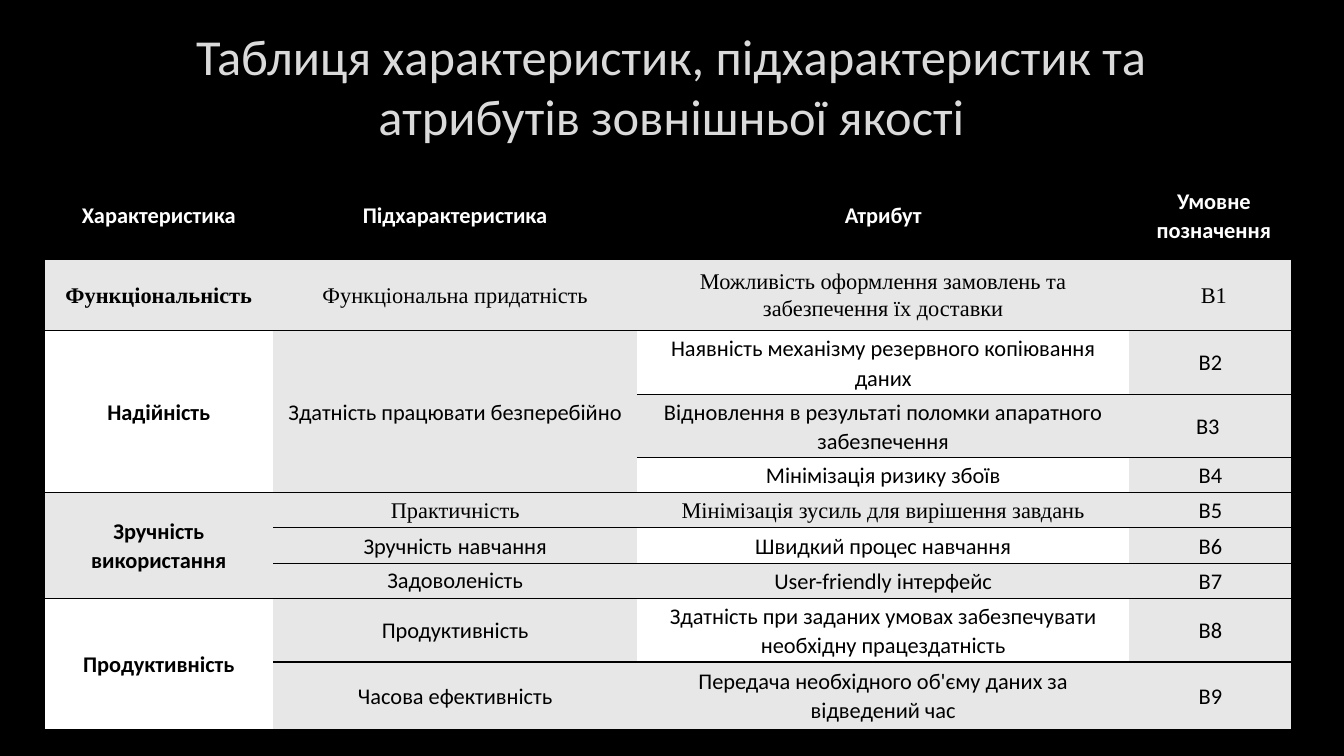
from lxml import etree
from pptx import Presentation
from pptx.dml.color import RGBColor
from pptx.enum import text
from pptx.oxml import ns
from pptx.util import Pt

PX = 9144  # 100 px to the inch
COLORS = {"black": "000000", "white": "FFFFFF", "grey": "E7E7E7", "title": "DADADA"}
SANS, SERIF = "Calibri", "Times New Roman"

COLUMN_WIDTHS = [227, 361, 488, 161]
ROW_HEIGHTS = [87, 71, 54, 58, 34, 28, 29, 32, 38, 67]
# None marks a cell that joins the one above; a tuple holds separate runs
ROWS = [
    ["Характеристика", "Підхарактеристика", "Атрибут", "Умовне позначення"],
    ["Функціональність", "Функціональна придатність",
     "Можливість оформлення замовлень та забезпечення їх доставки", "B1"],
    ["Надійність", "Здатність працювати безперебійно",
     "Наявність механізму резервного копіювання даних", "B2"],
    [None, None, "Відновлення в результаті поломки апаратного забезпечення", "B3 "],
    [None, None, "Мінімізація ризику збоїв", "B4"],
    ["Зручність використання", "Практичність",
     "Мінімізація зусиль для вирішення завдань", "B5"],
    [None, ("Зручність", " ", "навчання"), "Швидкий процес навчання", "B6"],
    [None, "Задоволеність", "User-friendly інтерфейс", "B7"],
    ["Продуктивність", "Продуктивність",
     "Здатність при заданих умовах забезпечувати необхідну працездатність", "B8"],
    [None, "Часова ефективність",
     "Передача необхідного об'єму даних за відведений час", "B9"],
]
SERIF_CELLS = {(1, 0), (1, 1), (1, 2), (1, 3), (5, 1), (5, 2)}
SINGLE_SPACED = {(6, 1), (7, 1)}
INDENTED = {(0, 3), (1, 3)}


def style_span(span, size, font, color, bold=False):
    span.font.size = Pt(size)
    span.font.name = font
    span.font.bold = bold
    span.font.color.rgb = RGBColor.from_string(COLORS[color])


def add_title(page, left, top, width, height):
    box = page.shapes.add_textbox(left * PX, top * PX, width * PX, height * PX)
    frame = box.text_frame
    frame.word_wrap = True
    frame.vertical_anchor = text.MSO_ANCHOR.MIDDLE
    frame.text = "Таблиця характеристик, підхарактеристик та атрибутів зовнішньої якості"
    para = frame.paragraphs[0]
    para.alignment = text.PP_ALIGN.CENTER
    style_span(para.runs[0], 36, SANS, "title")


def set_borders(cell, column):
    """Black rules above and below, and on the outer sides only."""
    visible = {"lnL": column == 0, "lnR": column == len(COLUMN_WIDTHS) - 1,
               "lnT": True, "lnB": True}
    properties = cell._tc.get_or_add_tcPr()
    for side, shown in visible.items():
        line = etree.SubElement(properties, ns.qn("a:" + side), w=str(Pt(1)))
        fill = etree.SubElement(line, ns.qn("a:solidFill" if shown else "a:noFill"))
        if shown:
            etree.SubElement(fill, ns.qn("a:srgbClr"), val=COLORS["black"])


def fill_color(row, column):
    if row == 0:
        return "black"
    return "white" if row % 2 == 0 and column in (0, 2) else "grey"


def write_cell(cell, row, column, content):
    cell.vertical_anchor = text.MSO_ANCHOR.MIDDLE
    cell.margin_left = (12 if (row, column) in INDENTED else 5) * PX
    cell.margin_right = 5 * PX
    cell.margin_top = cell.margin_bottom = 3 * PX
    para = cell.text_frame.paragraphs[0]
    para.alignment = text.PP_ALIGN.CENTER
    if (row, column) not in SINGLE_SPACED:
        para.line_spacing = 1.07
    for part in content if isinstance(content, tuple) else (content,):
        span = para.add_run()
        span.text = part
        style_span(span, 18 if part == " " else 16,
                   SERIF if (row, column) in SERIF_CELLS else SANS,
                   "white" if row == 0 else "black", row == 0 or column == 0)


def add_quality_table(page, left, top, width, height):
    table = page.shapes.add_table(len(ROWS), len(COLUMN_WIDTHS), left * PX, top * PX,
                                  width * PX, height * PX).table
    table.horz_banding = False
    for column, size in enumerate(COLUMN_WIDTHS):
        table.columns[column].width = size * PX
    for row, size in enumerate(ROW_HEIGHTS):
        table.rows[row].height = size * PX

    for column in range(len(COLUMN_WIDTHS)):
        start = 0
        for row, values in enumerate(ROWS):
            cell = table.cell(row, column)
            if values[column] is not None:
                start = row
                write_cell(cell, row, column, values[column])
            set_borders(cell, column)
            cell.fill.solid()
            cell.fill.fore_color.rgb = RGBColor.from_string(COLORS[fill_color(start, column)])
            # Join at the last row of each group
            last = row + 1 == len(ROWS) or ROWS[row + 1][column] is not None
            if last and row > start:
                table.cell(start, column).merge(cell)


def main():
    deck = Presentation()
    deck.slide_width, deck.slide_height = 1333 * PX, 750 * PX
    page = deck.slides.add_slide(deck.slide_layouts[6])
    page.background.fill.solid()
    page.background.fill.fore_color.rgb = RGBColor.from_string(COLORS["black"])
    add_title(page, 131, 13, 1070, 143)
    add_quality_table(page, 44, 170, sum(COLUMN_WIDTHS), sum(ROW_HEIGHTS))
    deck.save("out.pptx")


if __name__ == "__main__":
    main()
